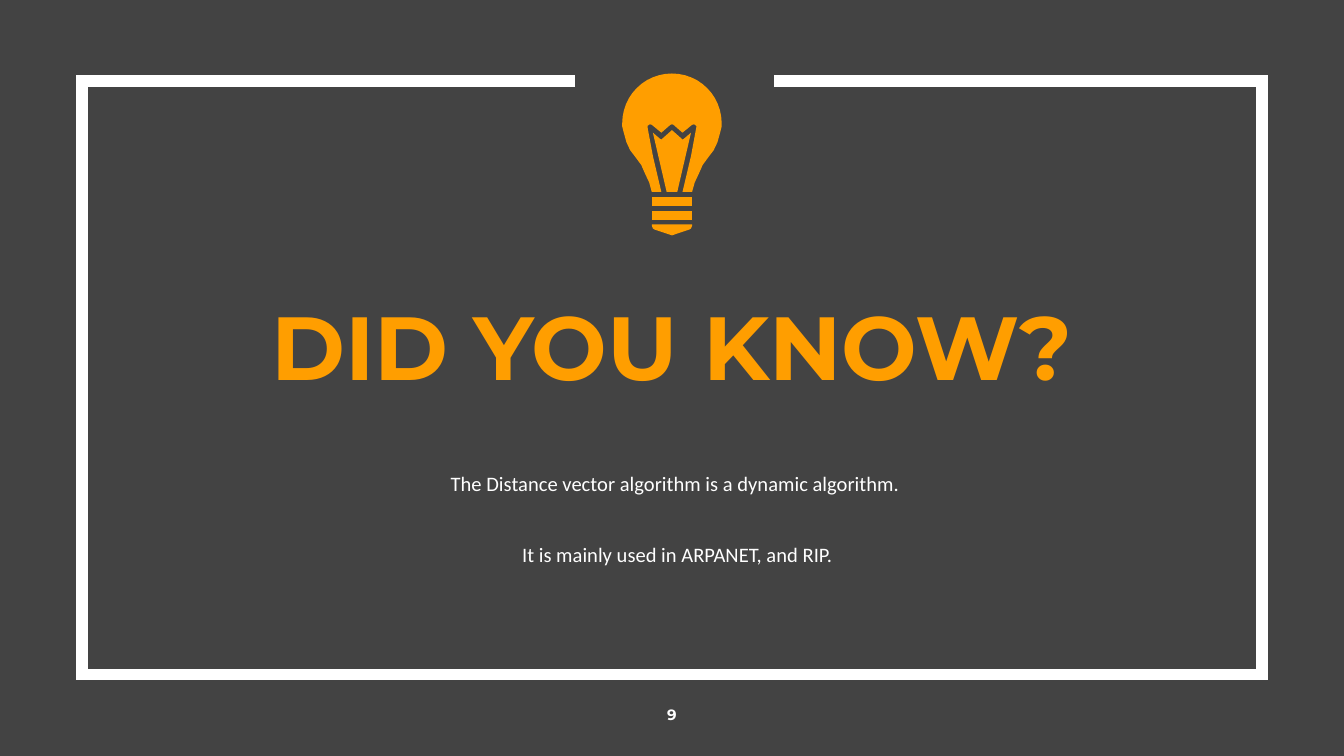
from math import cos, pi, sin

from lxml.etree import SubElement
from pptx import Presentation
from pptx.dml.color import RGBColor as Color
from pptx.enum.text import MSO_ANCHOR as Anchor, PP_ALIGN as Align
from pptx.oxml.ns import qn
from pptx.util import Cm, Pt

COLORS = {"background": "434343", "accent": "FF9E00", "light": "FFFFFF"}
PAGE_WIDTH, PAGE_HEIGHT = 25.4, 14.29
CENTER = PAGE_WIDTH / 2
FRAME_LEFT, FRAME_TOP, FRAME_BOTTOM, FRAME_GAP = 1.55, 1.53, 12.75, 1.93
BULB_Y, BULB_RADIUS = 2.33, 0.94
BASE_HALF, BAND_HEIGHT = 0.38, 0.17
BAND_TOPS = [3.72, 3.98]

DOME = [
    (BULB_RADIUS * sin(step * pi / 24), BULB_Y - BULB_RADIUS * cos(step * pi / 24))
    for step in range(13)
]
NECK = [
    (0.94, 2.39), (0.91, 2.51), (0.86, 2.69), (0.79, 2.84), (0.69, 2.97),
    (0.58, 3.12), (0.51, 3.28), (0.43, 3.45), (0.38, 3.63), (0.2, 3.63),
    (0.36, 2.95), (0.46, 2.41), (0.46, 2.38), (0.42, 2.35), (0.38, 2.36),
    (0.2, 2.51), (0.03, 2.36), (0, 2.35),
]
FILAMENT = [(0, 2.46), (0.18, 2.62), (0.2, 2.64), (0.23, 2.62), (0.36, 2.51), (0.1, 3.63)]
CAP = [
    (BASE_HALF, 4.24), (0.38, 4.27), (0.36, 4.32), (0.33, 4.34),
    (0.3, 4.35), (0.03, 4.44), (0, 4.45),
]


class SlideMaker:
    def __init__(self, page):
        self.page = page
        self.page.background.fill.solid()
        self.page.background.fill.fore_color.rgb = self.color("background")

    def color(self, name):
        return Color.from_string(COLORS[name])

    def outline(self, shapes, points, close):
        corners = [(Cm(x), Cm(y)) for x, y in points]
        builder = shapes.build_freeform(*corners[0], scale=1.0)
        builder.add_line_segments(corners[1:], close=close)
        shape = builder.convert_to_shape()
        shape.shadow.inherit = False
        return shape

    def frame(self, points, width):
        shape = self.outline(self.page.shapes, points, close=False)
        shape.fill.background()
        shape.line.color.rgb = self.color("light")
        shape.line.width = Pt(width)
        SubElement(shape.line._get_or_add_ln(), qn("a:miter"), lim="800000")

    def symmetric_group(self, halves):
        group = self.page.shapes.add_group_shape()
        for half in halves:
            right = [(CENTER + x, y) for x, y in half]
            left = [(CENTER - x, y) for x, y in reversed(half)]
            shape = self.outline(group.shapes, right + left, close=True)
            shape.fill.solid()
            shape.fill.fore_color.rgb = self.color("accent")
            shape.line.fill.background()

    def text(self, lines, area, size, font, color, bold=False, anchor=Anchor.MIDDLE,
             insets=(0, 0, 0, 0), gap=0):
        box = self.page.shapes.add_textbox(*map(Cm, area))
        frame = box.text_frame
        frame.word_wrap = True
        frame.vertical_anchor = anchor
        (frame.margin_left, frame.margin_top,
         frame.margin_right, frame.margin_bottom) = map(Cm, insets)
        for index, line in enumerate(lines):
            para = frame.add_paragraph() if index else frame.paragraphs[0]
            para.text = line
            para.alignment = Align.CENTER
            para.space_before = Pt(gap if index else 0)
            para.font.name = font
            para.font.size = Pt(size)
            para.font.bold = bold
            para.font.color.rgb = self.color(color)


def main():
    deck = Presentation()
    deck.slide_width, deck.slide_height = Cm(PAGE_WIDTH), Cm(PAGE_HEIGHT)
    maker = SlideMaker(deck.slides.add_slide(deck.slide_layouts[6]))

    frame_right = PAGE_WIDTH - FRAME_LEFT
    maker.frame([
        (CENTER - FRAME_GAP + 0.1, FRAME_TOP), (FRAME_LEFT, FRAME_TOP),
        (FRAME_LEFT, FRAME_BOTTOM), (frame_right, FRAME_BOTTOM),
        (frame_right, FRAME_TOP), (CENTER + FRAME_GAP, FRAME_TOP),
    ], width=6)

    maker.text(["9"], (0, FRAME_BOTTOM, PAGE_WIDTH, 1.53), 8, "Montserrat", "light",
               bold=True, insets=(0.25, 0.25, 0.25, 0.25))
    maker.text(["DID YOU KNOW?"], (4.45, 4.9, 16.5, 3.23), 48, "Montserrat", "accent",
               bold=True)
    maker.text(
        ["The Distance vector algorithm is a dynamic algorithm. ",
         "It is mainly used in ARPANET, and RIP."],
        (4.45, 7.32, 16.5, 5.1), 11, "Calibri", "light",
        anchor=Anchor.TOP, insets=(0.46, 1.62, 0.25, 0.25), gap=24.6)

    bands = [[(BASE_HALF, top), (BASE_HALF, top + BAND_HEIGHT)] for top in BAND_TOPS]
    maker.symmetric_group(bands + [CAP, FILAMENT, DOME + NECK])
    deck.save("out.pptx")


if __name__ == "__main__":
    main()
